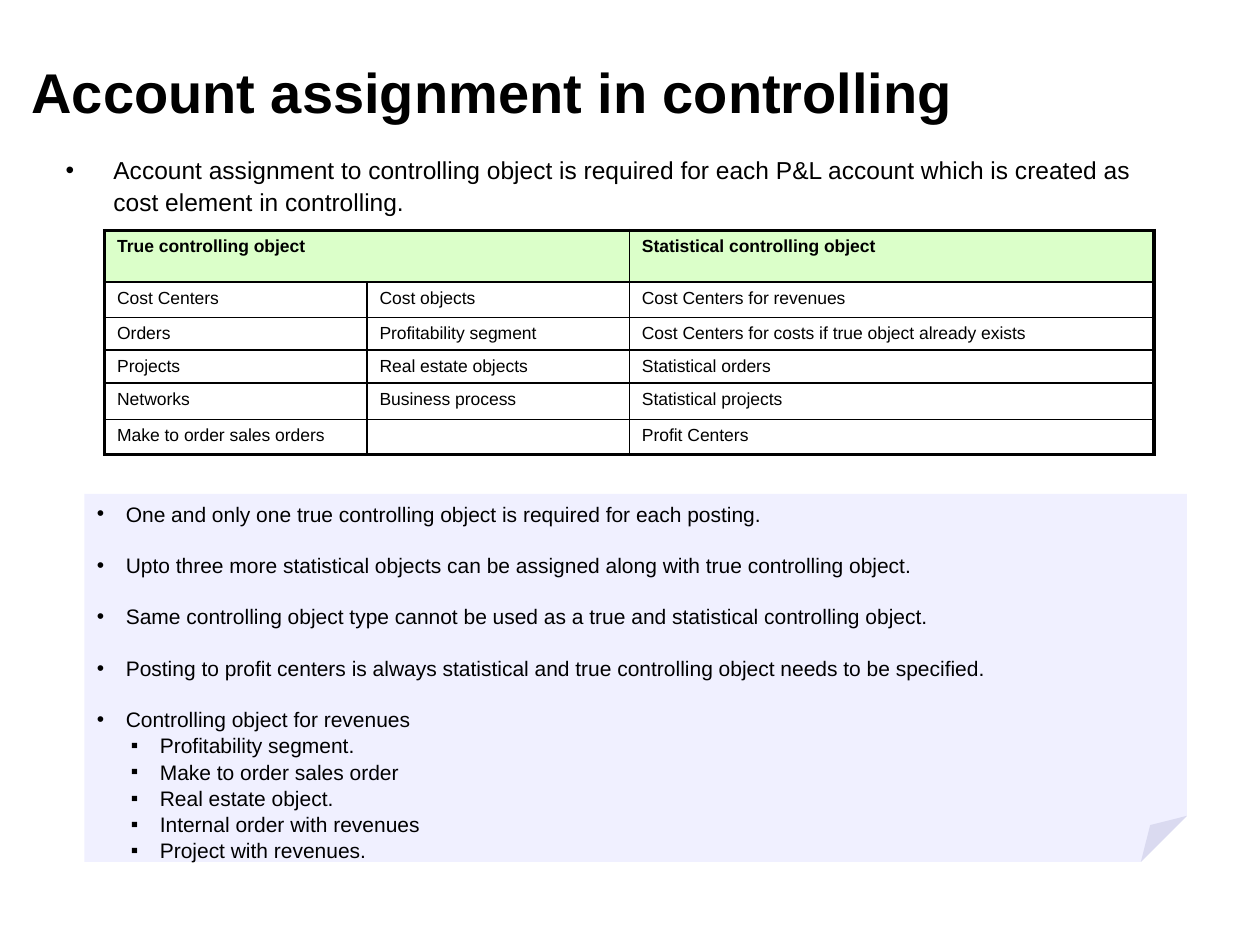
from dataclasses import dataclass

from lxml.etree import SubElement
from pptx import Presentation
from pptx.dml.color import RGBColor
from pptx.enum.shapes import MSO_SHAPE
from pptx.enum.text import MSO_ANCHOR, MSO_AUTO_SIZE, PP_ALIGN
from pptx.oxml.ns import qn
from pptx.util import Inches, Pt


@dataclass(frozen=True)
class Theme:
    """Hold the colours, font and sizes of the slide."""
    font: str = "Arial"
    ink: str = "000000"
    header: str = "DBFFC9"
    note: str = "CCCCFF"
    note_opacity: int = 28
    title: int = 32
    lead: int = 14
    body: int = 12
    cell: int = 10
    thick: float = 2.25
    thin: float = 1


THEME = Theme()
TITLE = "Account assignment in controlling"
LEAD = ("Account assignment to controlling object is required for each P&L account "
        "which is created as cost element in controlling.")
HEADINGS = ("True controlling object", "", "Statistical controlling object")
OBJECTS = (
    ("Cost Centers", "Cost objects", "Cost Centers for revenues"),
    ("Orders", "Profitability segment", "Cost Centers for costs if true object already exists"),
    ("Projects", "Real estate objects", "Statistical orders"),
    ("Networks", "Business process", "Statistical projects"),
    ("Make to order sales orders", "", "Profit Centers"),
)
ROW_HEIGHTS = (0.41, 0.28, 0.26, 0.26, 0.29, 0.28)
COLUMN_SHARES = (0.25, 0.25, 0.5)
RULES = (
    "One and only one true controlling object is required for each posting.",
    "Upto three more statistical objects can be assigned along with true controlling object.",
    "Same controlling object type cannot be used as a true and statistical controlling object.",
    "Posting to profit centers is always statistical and true controlling object needs to be specified.",
    "Controlling object for revenues",
)
REVENUE_OBJECTS = (
    "Profitability segment.",
    "Make to order sales order",
    "Real estate object.",
    "Internal order with revenues",
    "Project with revenues.",
)


def place(shape, box):
    """Move a shape to a box given in inches."""
    shape.left, shape.top, shape.width, shape.height = map(Inches, box)


def write(para, text, size, bold=False):
    """Add one formatted run to a left-aligned paragraph."""
    para.alignment = PP_ALIGN.LEFT
    para.space_before = Pt(0)
    span = para.add_run()
    span.text = text
    span.font.name = THEME.font
    span.font.size = Pt(size)
    span.font.bold = bold
    span.font.color.rgb = RGBColor.from_string(THEME.ink)


def bullet(para, mark, margin, hang):
    """Give a paragraph a bullet and a hanging indent."""
    properties = para._p.get_or_add_pPr()
    properties.set("marL", str(Inches(margin)))
    properties.set("indent", str(-Inches(hang)))
    SubElement(properties, qn("a:buFont"), typeface=THEME.font)
    SubElement(properties, qn("a:buChar"), char=mark)


def add_title(page, box):
    """Fill the title placeholder."""
    place(page.shapes.title, box)
    frame = page.shapes.title.text_frame
    frame.auto_size = MSO_AUTO_SIZE.NONE
    frame.vertical_anchor = MSO_ANCHOR.TOP
    frame.margin_left = frame.margin_right = frame.margin_bottom = 0
    frame.margin_top = Inches(0.05)
    write(frame.paragraphs[0], TITLE, THEME.title, True)


def add_lead(page, box):
    """Fill the body placeholder with the opening point."""
    body = page.placeholders[1]
    place(body, box)
    body.text_frame.auto_size = MSO_AUTO_SIZE.NONE
    para = body.text_frame.paragraphs[0]
    para.line_spacing = 1.06
    write(para, LEAD, THEME.lead)
    bullet(para, "•", 0.38, 0.38)


def border(cell, widths):
    """Draw the left, right, top and bottom borders of a cell."""
    properties = cell._tc.get_or_add_tcPr()
    for index, (side, width) in enumerate(zip("LRTB", widths)):
        line = properties.makeelement(qn(f"a:ln{side}"), {"w": str(Pt(width))})
        fill = SubElement(line, qn("a:solidFill"))
        SubElement(fill, qn("a:srgbClr"), val=THEME.ink)
        properties.insert(index, line)


def add_object_table(page, box):
    """Build the table of true and statistical objects."""
    rows = (HEADINGS, *OBJECTS)
    last_row, last_column = len(rows) - 1, len(HEADINGS) - 1
    table = page.shapes.add_table(len(rows), len(HEADINGS), *map(Inches, box)).table
    for column, share in zip(table.columns, COLUMN_SHARES):
        column.width = Inches(box[2] * share)
    for row, height in zip(table.rows, ROW_HEIGHTS):
        row.height = Inches(height)
    for r, texts in enumerate(rows):
        for c, text in enumerate(texts):
            cell = table.cell(r, c)
            if r == 0:
                cell.fill.solid()
                cell.fill.fore_color.rgb = RGBColor.from_string(THEME.header)
            else:
                cell.fill.background()
            edges = (c == 0, c == last_column, r == 0, r == last_row)
            border(cell, [THEME.thick if edge else THEME.thin for edge in edges])
            para = cell.text_frame.paragraphs[0]
            if text:
                write(para, text, THEME.cell, r == 0)
            else:
                SubElement(para._p, qn("a:endParaRPr"), sz=str(THEME.cell * 100))
    table.cell(0, 0).merge(table.cell(0, 1))


def add_rules_note(page, box):
    """Build the folded note with the posting rules."""
    note = page.shapes.add_shape(MSO_SHAPE.FOLDED_CORNER, *map(Inches, box))
    guides = note._element.spPr.find(qn("a:prstGeom")).get_or_add_avLst()
    SubElement(guides, qn("a:gd"), name="adj", fmla="val 12500")
    note.shadow.inherit = False
    note.line.fill.background()
    note.fill.solid()
    note.fill.fore_color.rgb = RGBColor.from_string(THEME.note)
    colour = note._element.spPr.find(qn("a:solidFill")).find(qn("a:srgbClr"))
    SubElement(colour, qn("a:alpha"), val=str(THEME.note_opacity * 1000))
    frame = note.text_frame
    frame.vertical_anchor = MSO_ANCHOR.TOP
    frame.word_wrap = False
    points = [(text, "•", 0.23) for text in RULES]
    points += [(text, "▪", 0.5) for text in REVENUE_OBJECTS]
    for index, (text, mark, margin) in enumerate(points):
        para = frame.add_paragraph() if index else frame.paragraphs[0]
        para.level = int(mark == "▪")
        para.line_spacing = 1.04
        para.space_after = Pt(14.4 if index < len(RULES) - 1 else 0)
        write(para, text, THEME.body)
        bullet(para, mark, margin, 0.23)


def main():
    """Assemble and save the deck."""
    deck = Presentation()
    deck.slide_width, deck.slide_height = Inches(10), Inches(7.5)
    page = deck.slides.add_slide(deck.slide_layouts[1])
    add_title(page, (0.25, 0.41, 9.58, 0.68))
    add_lead(page, (0.42, 1.17, 9, 6))
    add_object_table(page, (0.83, 1.83, 8.33, sum(ROW_HEIGHTS)))
    add_rules_note(page, (0.67, 3.92, 8.75, 2.92))
    deck.save("out.pptx")


if __name__ == "__main__":
    main()
